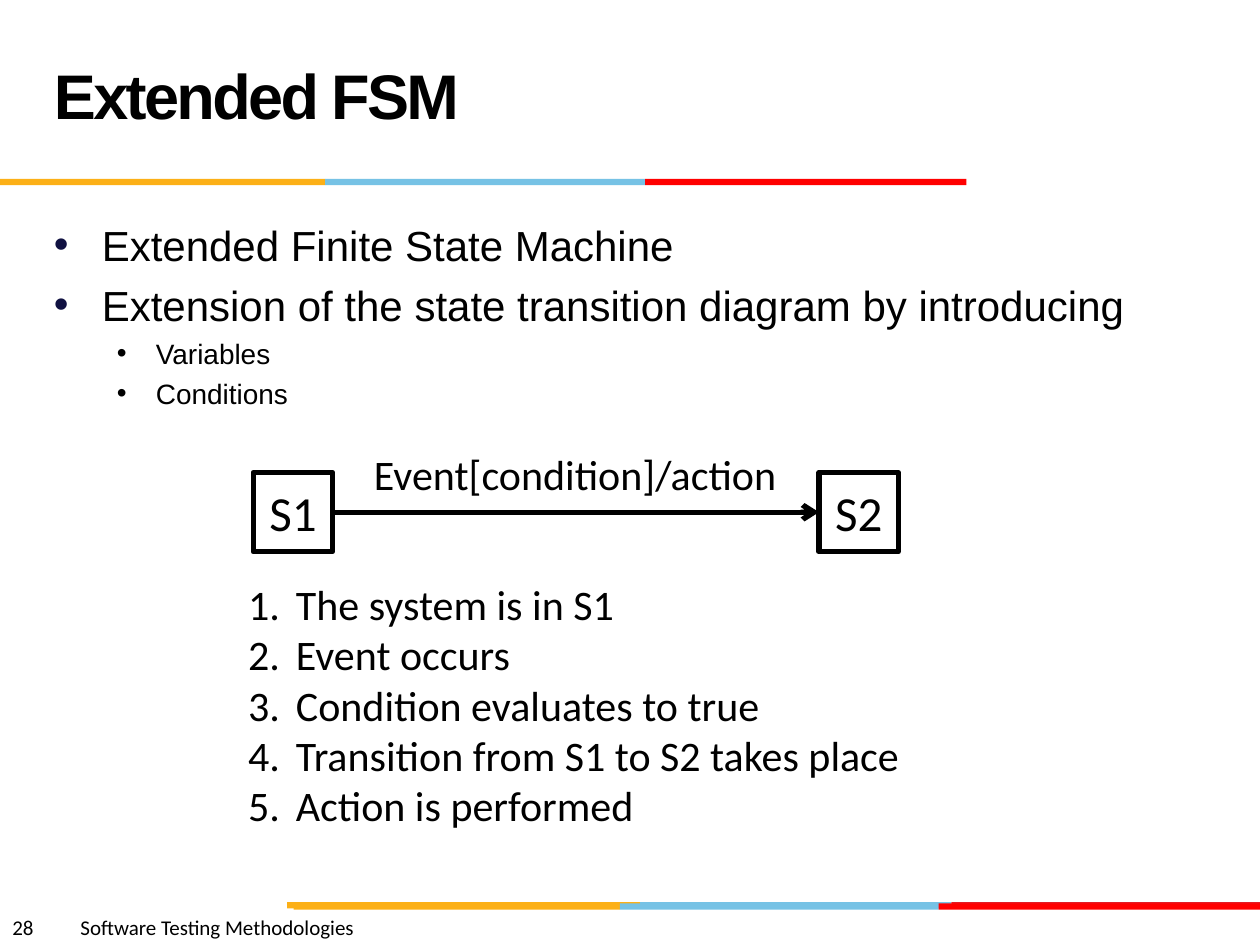
"""Build the Extended FSM slide: bullets, a transition diagram and its steps."""
import pptx
import pptx.dml.color
import pptx.enum.shapes
import pptx.enum.text
import pptx.oxml.ns
import pptx.oxml.xmlchemy
import pptx.util
from lxml import etree

RGBColor = pptx.dml.color.RGBColor
BLACK = RGBColor(0x00, 0x00, 0x00)
WHITE = RGBColor(0xFF, 0xFF, 0xFF)
NAVY = RGBColor(0x10, 0x11, 0x41)
YELLOW = RGBColor(0xFC, 0xB0, 0x17)
BLUE = RGBColor(0x76, 0xC2, 0xE5)
RED = RGBColor(0xFF, 0x00, 0x00)
CRIMSON = RGBColor(0xE3, 0x1C, 0x24)

WIDTH, HEIGHT = 10, 7.5
BAR_HEIGHT = 0.05
STATE_SIZE = 0.63
STATE_TOP = HEIGHT / 2
LINE_WIDTH = 3
INDENT = 0.38
BULLETS = [
    ("Extended Finite State Machine", 0),
    ("Extension of the state transition diagram by introducing", 0),
    ("Variables", 1),
    ("Conditions", 1),
]
STEPS = [
    "The system is in S1",
    "Event occurs",
    "Condition evaluates to true",
    "Transition from S1 to S2 takes place",
    "Action is performed",
]


def inches(*lengths):
    """Convert lengths in inches to slide units."""
    return [pptx.util.Inches(length) for length in lengths]


def add_child(parent, tag, **attributes):
    """Append a drawing element to an XML parent."""
    return etree.SubElement(parent, pptx.oxml.ns.qn(tag), attributes)


def style_spans(para, size, font, bold=False):
    """Format every run of a paragraph."""
    for span in para.runs:
        span.font.size = pptx.util.Pt(size)
        span.font.name = font
        span.font.bold = bold
        span.font.color.rgb = BLACK


def set_indent(para, left, hanging):
    """Give a paragraph a hanging indent and return its properties."""
    properties = para._p.get_or_add_pPr()
    properties.set("marL", str(pptx.util.Inches(left)))
    properties.set("indent", str(-pptx.util.Inches(hanging)))
    return properties


def add_text(page, place, text, size, font, wrap=True, bold=False):
    """Add a text box with one paragraph for each line of text."""
    box = page.shapes.add_textbox(*inches(*place))
    box.text_frame.word_wrap = wrap
    box.text_frame.text = text
    for para in box.text_frame.paragraphs:
        style_spans(para, size, font, bold)
    return box


def add_bar(page, top, edges, colors):
    """Add a horizontal bar of coloured segments between the edges."""
    for left, right, color in zip(edges, edges[1:], colors):
        place = inches(left, top, right - left, BAR_HEIGHT)
        segment = page.shapes.add_shape(pptx.enum.shapes.MSO_SHAPE.RECTANGLE, *place)
        segment.shadow.inherit = False
        segment.fill.solid()
        segment.fill.fore_color.rgb = color
        segment.line.fill.background()


def add_title(page, text):
    """Add the slide title with tightened letter spacing."""
    box = add_text(page, (0.33, 0.17, 6.92, 1.25), text, 36, "Arial", bold=True)
    box.text_frame.vertical_anchor = pptx.enum.text.MSO_ANCHOR.MIDDLE
    para = box.text_frame.paragraphs[0]
    para.line_spacing = pptx.util.Pt(36)
    para.runs[0].font._element.set("spc", "-150")


def add_bullets(page, items):
    """Add the two-level bullet list."""
    text = "\n".join(words for words, level in items)
    box = add_text(page, (0.33, 1.69, 9, 4.89), text, 24, "Arial")
    for index, (para, (words, level)) in enumerate(zip(box.text_frame.paragraphs, items)):
        para.level = level
        size, left, hanging = ((24, INDENT, INDENT), (16, 0.81, 0.31))[level]
        style_spans(para, size, "Arial")
        if index:
            para.space_before = pptx.util.Pt(size * 0.23)
        properties = set_indent(para, left, hanging)
        color = add_child(properties, "a:buClr")
        add_child(color, "a:srgbClr", val=str(BLACK if level else NAVY))
        add_child(properties, "a:buFont", typeface="Arial")
        add_child(properties, "a:buChar", char="•")


def add_steps(page, steps):
    """Add the numbered list of steps."""
    box = add_text(page, (1.87, 4.54, 5.41, 2.12), "\n".join(steps), 24, "Calibri", wrap=False)
    for para in box.text_frame.paragraphs:
        properties = set_indent(para, INDENT, INDENT)
        add_child(properties, "a:buFont", typeface="+mj-lt")
        add_child(properties, "a:buAutoNum", type="arabicPeriod")


def add_state(page, left, name):
    """Add a square state with a centred name."""
    place = inches(left, STATE_TOP, STATE_SIZE, STATE_SIZE)
    state = page.shapes.add_shape(pptx.enum.shapes.MSO_SHAPE.RECTANGLE, *place)
    state.shadow.inherit = False
    state.fill.solid()
    state.fill.fore_color.rgb = WHITE
    state.line.color.rgb = BLACK
    state.line.width = pptx.util.Pt(LINE_WIDTH)
    state.text_frame.text = name
    state.text_frame.vertical_anchor = pptx.enum.text.MSO_ANCHOR.MIDDLE
    para = state.text_frame.paragraphs[0]
    para.alignment = pptx.enum.text.PP_ALIGN.CENTER
    style_spans(para, 28, "Calibri")
    return state


def add_transition(page, source, target):
    """Connect two states with an arrow from right side to left side."""
    arrow = page.shapes.add_connector(pptx.enum.shapes.MSO_CONNECTOR.STRAIGHT, 0, 0, 0, 0)
    arrow.begin_connect(source, 3)
    arrow.end_connect(target, 1)
    arrow.line.color.rgb = BLACK
    arrow.line.width = pptx.util.Pt(LINE_WIDTH)
    add_child(arrow.line._get_or_add_ln(), "a:tailEnd", type="arrow")
    add_child(arrow._element.spPr, "a:effectLst")


def add_footer(page, number, text):
    """Add the slide number and course name, parted by a tab stop."""
    box = add_text(page, (0, 7.21, WIDTH / 2, 0.3), f"{number}\t{text}", 12, "Calibri")
    properties = box.text_frame.paragraphs[0]._p.get_or_add_pPr()
    tabs = add_child(properties, "a:tabLst")
    add_child(tabs, "a:tab", pos=str(pptx.util.Inches(0.54)), algn="l")


def main():
    """Build and save the deck."""
    deck = pptx.Presentation()
    deck.slide_width, deck.slide_height = inches(WIDTH, HEIGHT)
    page = deck.slides.add_slide(deck.slide_layouts[6])
    add_bar(page, 7.16, (2.28, 5.08, 7.55, WIDTH), (YELLOW, BLUE, CRIMSON))
    add_bar(page, 7.17, (2.33, 4.92, 7.45, WIDTH), (YELLOW, BLUE, RED))
    add_bar(page, 1.42, (0, 2.58, 5.12, 7.67), (YELLOW, BLUE, RED))
    add_footer(page, 28, "Software Testing Methodologies")
    add_bullets(page, BULLETS)
    add_title(page, "Extended FSM")
    source = add_state(page, 2.01, "S1")
    target = add_state(page, 6.5, "S2")
    add_transition(page, source, target)
    add_text(page, (2.87, 3.51, 3.43, 0.5), "Event[condition]/action", 24, "Calibri", wrap=False)
    add_steps(page, STEPS)
    deck.save("out.pptx")


if __name__ == "__main__":
    main()
